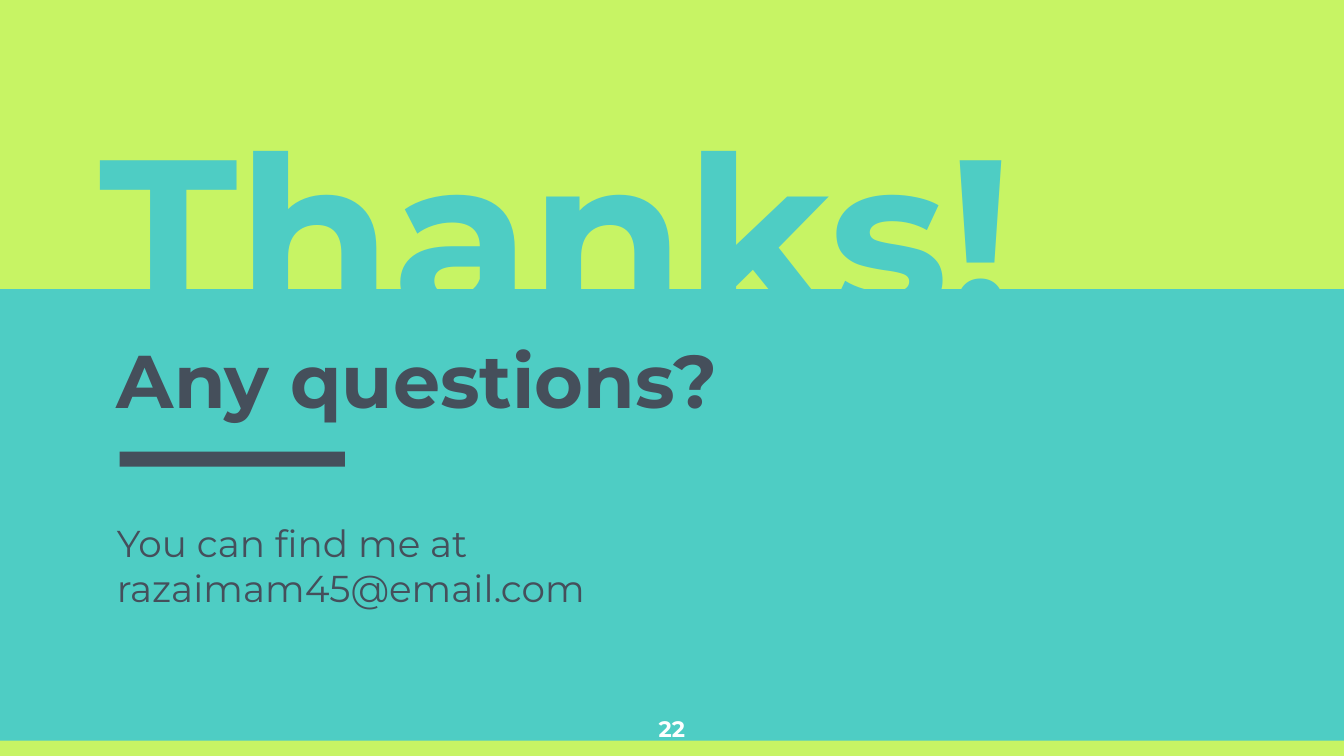
"""Build a closing "Thanks!" slide with a two-colour split background."""
from dataclasses import dataclass

from pptx import Presentation
from pptx.dml.color import RGBColor as RGB
from pptx.enum.shapes import MSO_SHAPE as SHAPE
from pptx.enum.text import MSO_ANCHOR as ANCHOR, PP_ALIGN as ALIGN
from pptx.util import Cm, Pt


@dataclass(frozen=True)
class Theme:
    font: str = "Montserrat"
    teal: RGB = RGB(0x4E, 0xCD, 0xC4)
    lime: RGB = RGB(0xC7, 0xF4, 0x64)
    slate: RGB = RGB(0x45, 0x4F, 0x5B)
    white: RGB = RGB(0xFF, 0xFF, 0xFF)
    title: Pt = Pt(120)
    subtitle: Pt = Pt(40)
    body: Pt = Pt(20)
    number: Pt = Pt(12)


theme = Theme()
prs = Presentation()
prs.slide_width, prs.slide_height = Cm(25.4), Cm(14.29)
s = prs.slides.add_slide(prs.slide_layouts[6])
s.background.fill.solid()
s.background.fill.fore_color.rgb = theme.teal

bars = [
    ((0, 14, 25.4, 0.29), theme.lime),
    ((0, 0, 25.4, 5.46), theme.lime),
    ((2.26, 8.54, 4.26, 0.28), theme.slate),
]
for box, color in bars:
    sp = s.shapes.add_shape(SHAPE.RECTANGLE, *map(Cm, box))
    sp.shadow.inherit = False
    sp.fill.solid()
    sp.fill.fore_color.rgb = color
    sp.line.fill.background()

texts = [
    ((1.63, 3.86, 18.75, 3.23), ["Thanks!"], theme.teal,
     {"size": theme.title, "bold": True}, ANCHOR.BOTTOM, ALIGN.LEFT),
    ((1.96, 6.07, 13.97, 1.75), ["Any questions?"], theme.slate,
     {"size": theme.subtitle, "bold": True}, ANCHOR.TOP, ALIGN.LEFT),
    ((1.96, 9.58, 18.52, 3.94), ["You can find me at", "razaimam45@email.com"], theme.slate,
     {"size": theme.body, "bold": False}, ANCHOR.TOP, ALIGN.LEFT),
    ((11.94, 13.26, 1.52, 0.86), ["22"], theme.white,
     {"size": theme.number, "bold": True}, ANCHOR.TOP, ALIGN.CENTER),
]
for box, lines, color, font, anchor, align in texts:
    tf = s.shapes.add_textbox(*map(Cm, box)).text_frame
    frame = {"word_wrap": True, "vertical_anchor": anchor}
    frame |= {f"margin_{side}": Cm(0.25) for side in ("left", "top", "right", "bottom")}
    for name, value in frame.items():
        setattr(tf, name, value)
    tf.text = "\n".join(lines)
    for p in tf.paragraphs:
        p.alignment = align
        for r in p.runs:
            for name, value in {"name": theme.font, **font}.items():
                setattr(r.font, name, value)
            r.font.color.rgb = color

prs.save("out.pptx")
